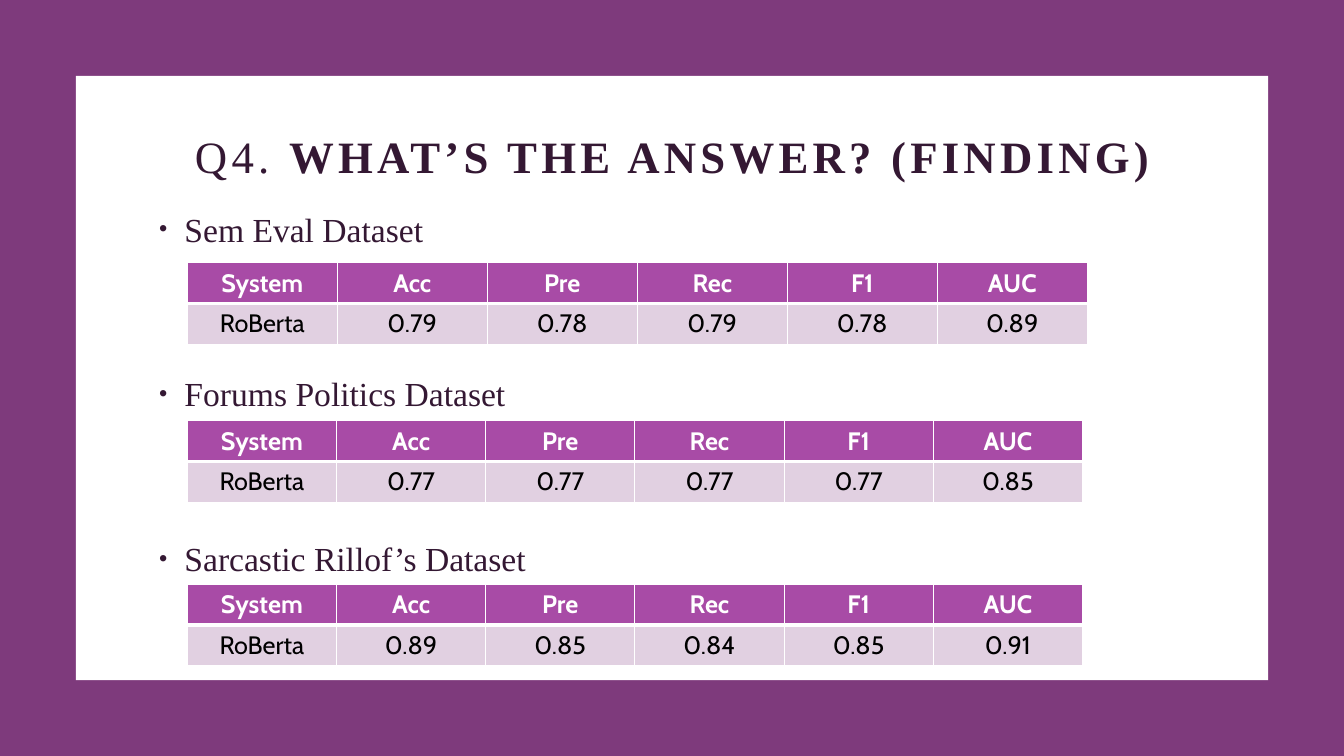
from lxml.etree import SubElement
from pptx import Presentation
from pptx.dml.color import RGBColor
from pptx.enum.shapes import MSO_SHAPE as Preset
from pptx.enum.text import MSO_ANCHOR as Anchor, PP_ALIGN as Align
from pptx.oxml.ns import qn
from pptx.util import Cm, Pt

WIDTH, HEIGHT, FRAME = 33.87, 19.05, 1.91
TEXT_LEFT, TEXT_WIDTH = 3.76, 26.37
TABLE_LEFT, ROW_HEIGHT = 4.72, 1.03
HEADER = ["System", "Acc", "Pre", "Rec", "F1", "AUC"]
# Heading, table top, column width, scores
DATASETS = [
    ("Sem Eval Dataset", 6.62, 3.78, ["0.79", "0.78", "0.79", "0.78", "0.89"]),
    ("Forums Politics Dataset", 10.6, 3.76, ["0.77", "0.77", "0.77", "0.77", "0.85"]),
    ("Sarcastic Rillof’s Dataset", 14.72, 3.76, ["0.89", "0.85", "0.84", "0.85", "0.91"]),
]


def color(value):
    """Turn a hex string into a colour."""
    return RGBColor.from_string(value)


class Painter:
    """Holds the style and the current slide."""

    serif, sans = "Times New Roman", "Cabin"
    purple, ink, white, black = "7E3A7C", "341833", "FFFFFF", "000000"
    header_fill, body_fill = "A84BA6", "E1D0E1"

    def __init__(self, page):
        """Remember the slide to draw on."""
        self.page = page

    def panel(self, left, top, width, height, fill):
        """Add a plain filled rectangle."""
        box = self.page.shapes.add_shape(
            Preset.RECTANGLE, Cm(left), Cm(top), Cm(width), Cm(height))
        box.shadow.inherit = False
        box.fill.solid()
        box.fill.fore_color.rgb = color(fill)
        box.line.fill.background()

    def text_frame(self, top, height):
        """Add a wrapping text box in the text column."""
        box = self.page.shapes.add_textbox(
            Cm(TEXT_LEFT), Cm(top), Cm(TEXT_WIDTH), Cm(height))
        box.text_frame.word_wrap = True
        return box.text_frame

    def format(self, span, font, size, ink, bold=False):
        """Set the font of one run."""
        span.font.name = font
        span.font.size = Pt(size)
        span.font.bold = bold
        span.font.color.rgb = color(ink)

    def title(self, top, height, number, question):
        """Add the letter-spaced title with a bold question."""
        frame = self.text_frame(top, height)
        frame.vertical_anchor = Anchor.BOTTOM
        para = frame.paragraphs[0]
        para.alignment = Align.CENTER
        para.line_spacing = 0.9
        for text, bold in ((number, False), (question, True)):
            span = para.add_run()
            span.text = text
            self.format(span, self.serif, 32, self.ink, bold)
            span.font._element.set("spc", "300")

    def bullets(self, top, height, lines, gap):
        """Add bulleted lines with a fixed gap between them."""
        frame = self.text_frame(top, height)
        frame.text = "\n".join(lines)
        for index, para in enumerate(frame.paragraphs):
            para.space_before = Pt(gap if index else 0)
            self.format(para.runs[0], self.serif, 24, self.ink)
            props = para._p.get_or_add_pPr()
            props.set("marL", str(Cm(0.64)))
            props.set("indent", str(-Cm(0.64)))
            SubElement(props, qn("a:buSzPct"), val="70000")
            SubElement(props, qn("a:buFont"), typeface="Arial")
            SubElement(props, qn("a:buChar"), char="•")

    def borders(self, cell, **widths):
        """Draw white cell borders; widths are points by side."""
        props = cell._tc.get_or_add_tcPr()
        for side in "LRTB":
            line = SubElement(props, qn(f"a:ln{side}"), w=str(Pt(widths.get(side, 1))))
            fill = SubElement(line, qn("a:solidFill"))
            SubElement(fill, qn("a:srgbClr"), val=self.white)

    def table(self, top, column_width, rows):
        """Add a table with a coloured header row."""
        columns = len(rows[0])
        table = self.page.shapes.add_table(
            len(rows), columns, Cm(TABLE_LEFT), Cm(top),
            Cm(column_width * columns), Cm(ROW_HEIGHT * len(rows))).table
        for column in table.columns:
            column.width = Cm(column_width)
        for index, values in enumerate(rows):
            head = index == 0
            for cell, value in zip(table.rows[index].cells, values):
                cell.text = value
                para = cell.text_frame.paragraphs[0]
                para.alignment = Align.CENTER
                self.format(para.runs[0], self.sans, 18,
                            self.white if head else self.black, head)
                self.borders(cell, **({"B": 3} if head else {"T": 3}))
                cell.fill.solid()
                cell.fill.fore_color.rgb = color(
                    self.header_fill if head else self.body_fill)


def main():
    """Build the slide and save it."""
    deck = Presentation()
    deck.slide_width, deck.slide_height = Cm(WIDTH), Cm(HEIGHT)
    painter = Painter(deck.slides.add_slide(deck.slide_layouts[6]))
    painter.panel(0, 0, WIDTH, HEIGHT, painter.purple)
    painter.panel(FRAME, FRAME, WIDTH - 2 * FRAME, HEIGHT - 2 * FRAME, painter.white)
    painter.title(FRAME, 2.84, "Q4. ", "WHAT’S THE ANSWER? (FINDING)")
    painter.bullets(5.13, 9.83, [dataset[0] for dataset in DATASETS], gap=88.8)
    for _, top, column_width, scores in DATASETS:
        painter.table(top, column_width, [HEADER, ["RoBerta"] + scores])
    deck.save("out.pptx")


main()
